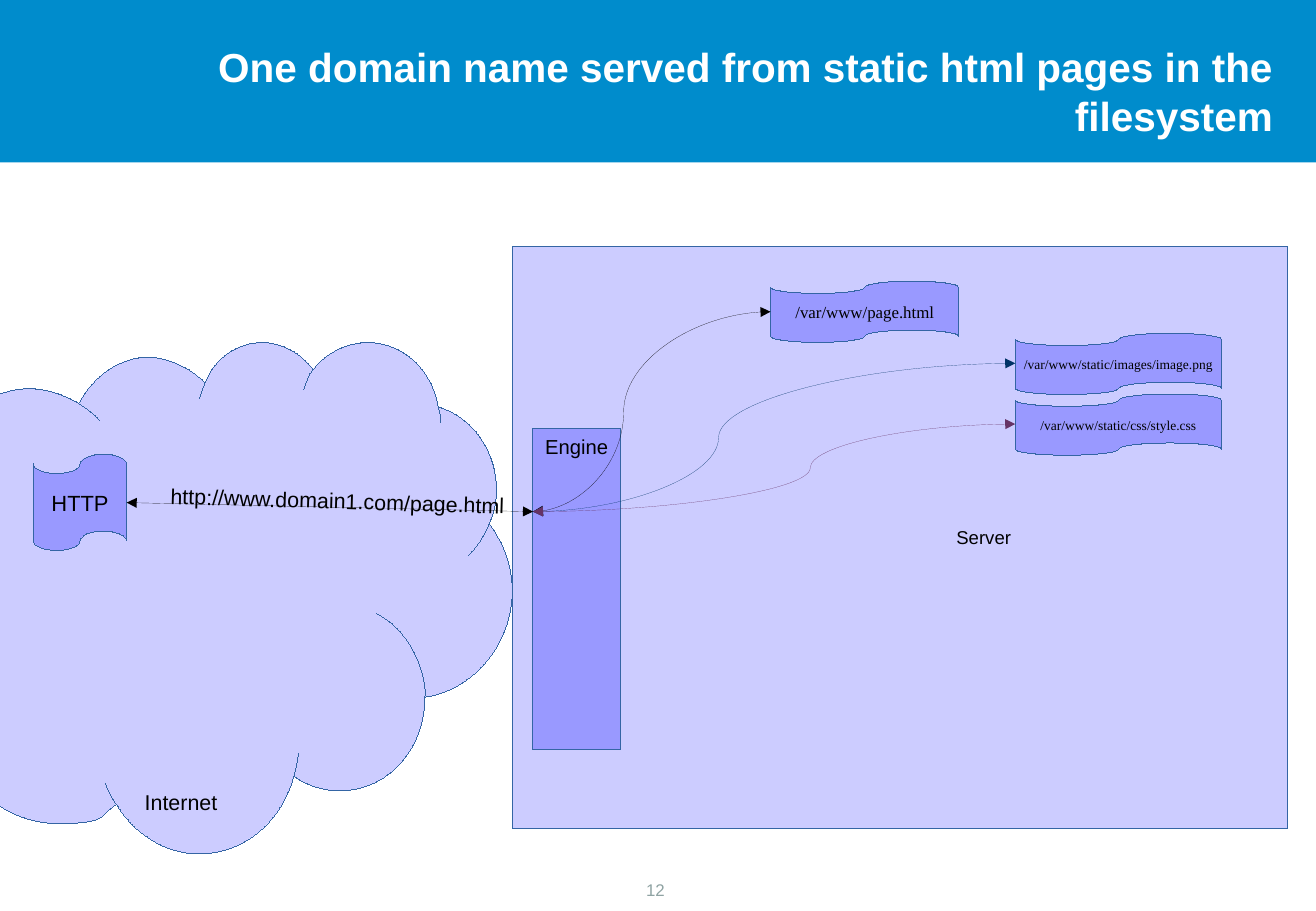
"""Build a slide showing one domain name served from static html pages."""
from lxml.etree import SubElement
from pptx import Presentation
from pptx.dml.color import RGBColor
from pptx.enum.shapes import MSO_CONNECTOR, MSO_SHAPE
from pptx.enum.text import MSO_ANCHOR, PP_ALIGN
from pptx.oxml.ns import qn
from pptx.util import Cm, Pt

BLUE = RGBColor(0x00, 0x8C, 0xCC)
PALE = RGBColor(0xCC, 0xCC, 0xFF)
VIOLET = RGBColor(0x99, 0x99, 0xFF)
OUTLINE = RGBColor(0x34, 0x65, 0xA4)
BLACK = RGBColor(0x00, 0x00, 0x00)
WHITE = RGBColor(0xFF, 0xFF, 0xFF)
GREY = RGBColor(0x8F, 0xA3, 0xA3)
NAVY = RGBColor(0x00, 0x33, 0x66)
PLUM = RGBColor(0x66, 0x33, 0x66)

HAIRLINE = Pt(0.01)
CLOUD_UNIT = Cm(2.54) / 100
CLOUD_OUTLINE = [
    (-57, 421), (-67, 369), (-22, 320), (24, 320), (38, 320), (53, 325), (65, 332),
    (77, 309), (99, 294), (123, 294), (139, 295), (156, 302), (169, 315),
    (177, 294), (196, 282), (216, 282), (233, 282), (248, 291), (258, 304),
    (269, 290), (286, 282), (303, 282), (332, 282), (356, 304), (361, 335),
    (389, 343), (409, 371), (409, 403), (409, 413), (407, 422), (403, 431),
    (415, 447), (422, 466), (422, 486), (422, 530), (390, 568), (350, 574),
    (350, 617), (319, 651), (280, 651), (266, 651), (254, 647), (242, 639),
    (232, 677), (200, 703), (164, 703), (137, 703), (111, 687), (96, 662),
    (81, 672), (89, 678), (48, 678), (14, 678), (-17, 658), (-34, 626),
    (-73, 625), (-93, 600), (-93, 568), (-93, 553), (-88, 539), (-78, 528),
    (-95, 519), (-104, 500), (-104, 479), (-104, 449), (-84, 425), (-57, 421),
]
CLOUD_FOLDS = [
    [(65, 332), (71, 336), (78, 341), (82, 346)],
    [(169, 315), (167, 319), (166, 324), (164, 328)],
    [(258, 304), (254, 309), (252, 315), (250, 321)],
    [(361, 335), (362, 338), (364, 346), (363, 348)],
    [(403, 431), (399, 441), (393, 450), (386, 457)],
    [(350, 574), (352, 559), (341, 520), (310, 505)],
    [(242, 639), (244, 632), (245, 627), (246, 620)],
    [(96, 662), (92, 657), (89, 651), (87, 645)],
]


def write_text(shape, text, size, font="Arial", color=BLACK, anchor=MSO_ANCHOR.MIDDLE,
               align=PP_ALIGN.CENTER, wrap=False):
    """Put one formatted run into a shape and return its text frame."""
    frame = shape.text_frame
    frame.word_wrap = wrap
    frame.vertical_anchor = anchor
    paragraph = frame.paragraphs[0]
    paragraph.alignment = align
    run = paragraph.add_run()
    run.text = text
    run.font.size = Pt(size)
    run.font.name = font
    run.font.color.rgb = color
    return frame


def paint(shape, fill):
    """Give a shape a plain fill and the common hairline outline."""
    shape.shadow.inherit = False
    shape.fill.solid()
    shape.fill.fore_color.rgb = fill
    shape.line.color.rgb = OUTLINE
    shape.line.width = HAIRLINE


presentation = Presentation()
presentation.slide_width = Cm(27.53)
presentation.slide_height = Cm(19.05)
slide = presentation.slides.add_slide(presentation.slide_layouts[6])
shapes = slide.shapes

page_number = shapes.add_textbox(Cm(12.62), Cm(18.27), Cm(2.18), Cm(0.64))
write_text(page_number, "12", 10, color=GREY, anchor=MSO_ANCHOR.TOP)

header = shapes.add_shape(MSO_SHAPE.RECTANGLE, Cm(0), Cm(0), Cm(27.53), Cm(3.4))
paint(header, BLUE)
header.line.fill.background()

builder = shapes.build_freeform(*CLOUD_OUTLINE[0], scale=CLOUD_UNIT)
builder.add_line_segments(CLOUD_OUTLINE[1:], close=True)
for fold in CLOUD_FOLDS:
    builder.move_to(*fold[0])
    builder.add_line_segments(fold[1:], close=False)
cloud = builder.convert_to_shape()
paint(cloud, PALE)

contours = cloud._element.spPr.find(qn("a:custGeom")).find(qn("a:pathLst"))
body = contours[0]
contour = None
curve = None
for step in list(body):
    if step.tag == qn("a:lnTo"):
        if curve is None or len(curve) == 3:
            curve = SubElement(contour, qn("a:cubicBezTo"))
        curve.append(step[0])
        body.remove(step)
        continue
    if step.tag == qn("a:moveTo"):
        contour = body if contour is None else SubElement(
            contours, qn("a:path"), w=body.get("w"), h=body.get("h"), fill="none")
    contour.append(step)
    curve = None

cloud_frame = write_text(cloud, "Internet", 12.7, anchor=MSO_ANCHOR.BOTTOM)
cloud_frame.margin_left = Cm(0)
cloud_frame.margin_right = Cm(0.5)
cloud_frame.margin_bottom = Cm(0.82)

TAPE = MSO_SHAPE.FLOWCHART_PUNCHED_TAPE
SERIF = "Times New Roman"
boxes = [
    ("Server", MSO_SHAPE.RECTANGLE, 10.72, 5.16, 16.22, 12.16, PALE, 11, "Arial"),
    ("Engine", MSO_SHAPE.RECTANGLE, 11.15, 8.96, 1.83, 6.71, VIOLET, 12, "Arial"),
    ("HTTP", TAPE, 0.7, 9.5, 1.95, 2.01, VIOLET, 13, "Arial"),
    ("/var/www/page.html", TAPE, 16.12, 5.88, 3.94, 1.28, VIOLET, 10, SERIF),
    ("/var/www/static/images/image.png", TAPE, 21.24, 6.97, 4.32, 1.28, VIOLET, 8, SERIF),
    ("/var/www/static/css/style.css", TAPE, 21.24, 8.24, 4.32, 1.28, VIOLET, 8, SERIF),
]
frames = {}
for label, kind, left, top, width, height, fill, size, font in boxes:
    box = shapes.add_shape(kind, Cm(left), Cm(top), Cm(width), Cm(height))
    paint(box, fill)
    frames[label] = write_text(box, label, size, font)
frames["Server"].margin_left = Cm(3.5)
frames["Server"].margin_right = Cm(0)
frames["Engine"].vertical_anchor = MSO_ANCHOR.TOP

ENGINE_X, ENGINE_Y = 11.15, 10.7
links = [
    (2.65, 10.51, BLACK, None),
    (16.12, 6.52, BLACK, 38200),
    (21.24, 7.6, NAVY, 38500),
    (21.24, 8.87, PLUM, 57500),
]
for x, y, color, bend in links:
    kind = MSO_CONNECTOR.CURVE if bend else MSO_CONNECTOR.STRAIGHT
    link = shapes.add_connector(kind, Cm(ENGINE_X), Cm(ENGINE_Y), Cm(x), Cm(y))
    link.line.color.rgb = color
    link.line.width = HAIRLINE
    properties = link._element.spPr
    for end in ("a:headEnd", "a:tailEnd"):
        SubElement(properties.find(qn("a:ln")), qn(end), type="triangle")
    SubElement(properties, qn("a:effectLst"))
    if bend:
        adjustments = properties.find(qn("a:prstGeom")).find(qn("a:avLst"))
        SubElement(adjustments, qn("a:gd"), name="adj1", fmla=f"val {bend}")

address = shapes.add_textbox(Cm(3.02), Cm(10.08), Cm(8.08), Cm(0.76))
address.rotation = 1.8
write_text(address, "http://www.domain1.com/page.html", 12.7, anchor=MSO_ANCHOR.TOP)

title = shapes.add_textbox(Cm(2.06), Cm(0.63), Cm(24.57), Cm(2.54))
title_frame = write_text(title, "One domain name served from static html pages in the filesystem",
                         24, color=WHITE, align=PP_ALIGN.RIGHT, wrap=True)
title_frame.margin_left = title_frame.margin_right = Cm(0)
title_frame.margin_top = title_frame.margin_bottom = Cm(0)
title_frame.paragraphs[0].runs[0].font.bold = True

presentation.save("out.pptx")
